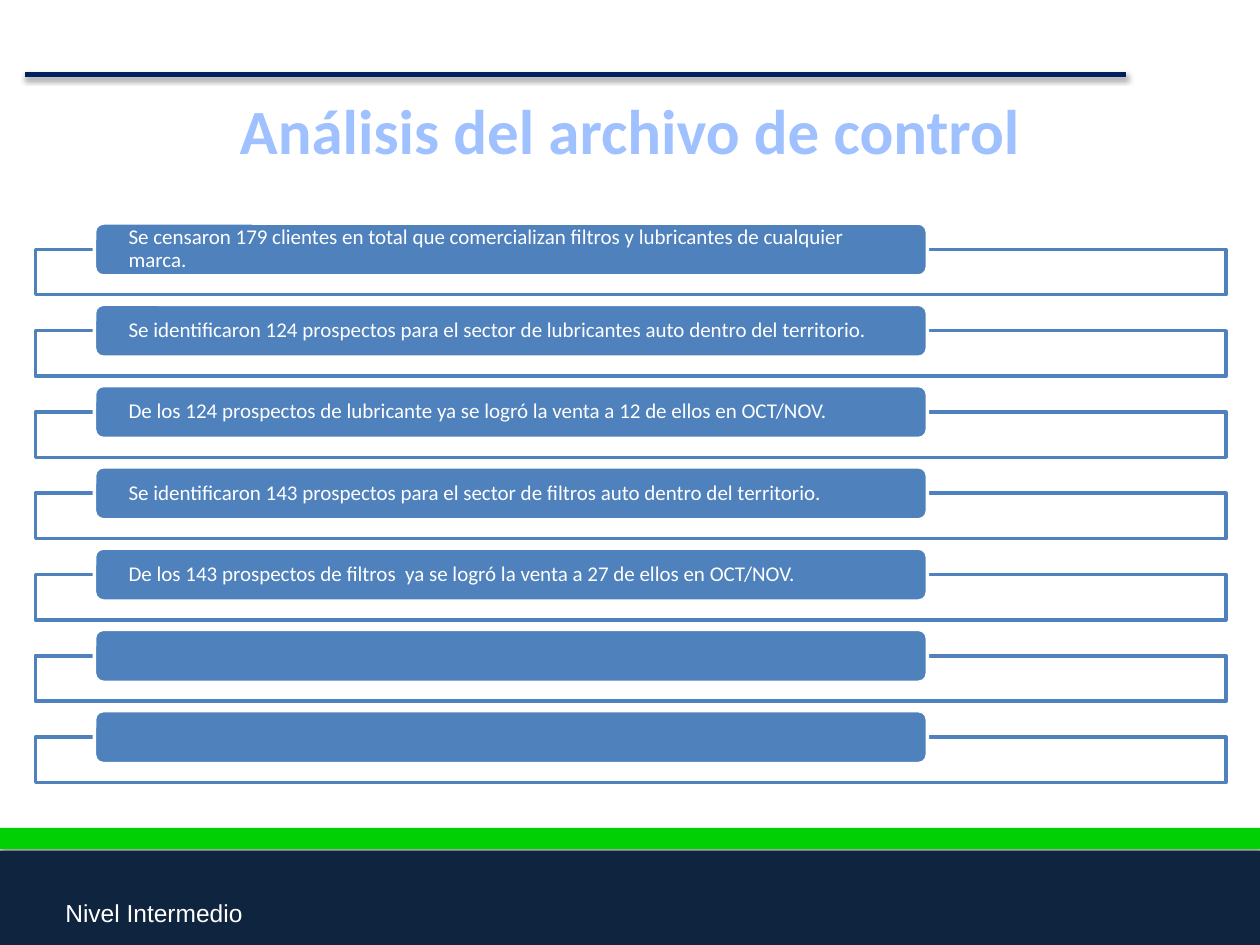
from dataclasses import dataclass

from pptx import Presentation
from pptx.dml.color import RGBColor
from pptx.enum.shapes import MSO_CONNECTOR, MSO_SHAPE
from pptx.enum.text import MSO_ANCHOR, PP_ALIGN
from pptx.oxml import parse_xml
from pptx.oxml.ns import nsdecls, qn
from pptx.oxml.xmlchemy import OxmlElement
from pptx.util import Inches, Pt

COLORS = {
    "white": "FFFFFF",
    "green": "01D004",
    "navy": "0F243E",
    "rule": "002060",
    "blue": "4F81BD",
    "title": "A0C1FF",
}

STATEMENTS = [
    "Se censaron 179 clientes en total que comercializan filtros y lubricantes de cualquier marca.",
    "Se identificaron 124 prospectos para el sector de lubricantes auto dentro del territorio.",
    "De los 124 prospectos de lubricante ya se logró la venta a 12 de ellos en OCT/NOV.",
    "Se identificaron 143 prospectos para el sector de filtros auto dentro del territorio.",
    "De los 143 prospectos de filtros  ya se logró la venta a 27 de ellos en OCT/NOV.",
    "",
    "",
]
FIRST_FRAME_TOP = 1.98
LAST_FRAME_TOP = 5.85
LABEL_RISE = 0.21


@dataclass
class Box:
    left: float
    top: float
    width: float
    height: float

    def lengths(self) -> list:
        return [Inches(value) for value in (self.left, self.top, self.width, self.height)]


@dataclass
class TextStyle:
    font: str
    size: float
    color: str
    bold: bool = False


def rgb(name: str) -> RGBColor:
    return RGBColor.from_string(COLORS[name])


def add_soft_shadow(shape) -> None:
    properties = shape._element.spPr
    effects = properties.find(qn("a:effectLst"))
    if effects is None:
        effects = OxmlElement("a:effectLst")
        properties.append(effects)
    effects.append(parse_xml(
        f'<a:outerShdw {nsdecls("a")} blurRad="{Pt(3.1)}" dist="{Pt(1.8)}" '
        'dir="5400000" rotWithShape="0"><a:srgbClr val="000000">'
        '<a:alpha val="35000"/></a:srgbClr></a:outerShdw>'
    ))


def add_box(slide, kind: MSO_SHAPE, box: Box, fill: str, outline: str | None = None):
    shape = slide.shapes.add_shape(kind, *box.lengths())
    shape.shadow.inherit = False
    shape.fill.solid()
    shape.fill.fore_color.rgb = rgb(fill)
    if outline:
        shape.line.color.rgb = rgb(outline)
        shape.line.width = Pt(2)
    else:
        shape.line.fill.background()
    return shape


def write(text_frame, text: str, style: TextStyle, alignment=PP_ALIGN.LEFT):
    text_frame.text = text
    paragraph = text_frame.paragraphs[0]
    paragraph.alignment = alignment
    for run in paragraph.runs:
        run.font.name = style.font
        run.font.size = Pt(style.size)
        run.font.bold = style.bold
        run.font.color.rgb = rgb(style.color)
    return paragraph


def add_text(slide, box: Box, text: str, style: TextStyle, alignment=PP_ALIGN.LEFT,
             wrap: bool = True) -> None:
    text_frame = slide.shapes.add_textbox(*box.lengths()).text_frame
    text_frame.word_wrap = wrap
    write(text_frame, text, style, alignment)


def add_header_rule(slide) -> None:
    rule = slide.shapes.add_connector(
        MSO_CONNECTOR.STRAIGHT, Inches(0.2), Inches(0.59), Inches(8.94), Inches(0.59))
    rule.line.color.rgb = rgb("rule")
    rule.line.width = Pt(3)
    add_soft_shadow(rule)


def add_statement(slide, frame_top: float, text: str) -> None:
    """Draw an outlined frame with a rounded label overlapping its top edge."""
    frame = add_box(slide, MSO_SHAPE.RECTANGLE, Box(0.28, frame_top, 9.45, 0.36), "white", "blue")
    frame_color = frame._element.spPr.find(qn("a:solidFill"))[0]
    alpha = OxmlElement("a:alpha")
    alpha.set("val", "90000")
    frame_color.append(alpha)

    label = add_box(slide, MSO_SHAPE.ROUNDED_RECTANGLE,
                    Box(0.75, frame_top - LABEL_RISE, 6.61, 0.42), "blue", "white")
    if not text:
        return
    text_frame = label.text_frame
    text_frame.word_wrap = True
    text_frame.vertical_anchor = MSO_ANCHOR.MIDDLE
    text_frame.margin_left = text_frame.margin_right = Inches(0.25)
    text_frame.margin_top = text_frame.margin_bottom = 0
    paragraph = write(text_frame, text, TextStyle("Calibri", 12, "white"))
    paragraph.line_spacing = 0.9


def main() -> None:
    presentation = Presentation()
    presentation.slide_width = Inches(10)
    presentation.slide_height = Inches(7.5)
    slide = presentation.slides.add_slide(presentation.slide_layouts[6])

    for box, color in ((Box(0, 6.57, 10, 0.17), "green"), (Box(0, 6.75, 10, 0.75), "navy")):
        add_soft_shadow(add_box(slide, MSO_SHAPE.RECTANGLE, box, color))
    add_text(slide, Box(0.42, 7.08, 9.58, 0.34), "Nivel Intermedio",
             TextStyle("Arial", 14, "white"))
    add_header_rule(slide)
    add_text(slide, Box(1.71, 0.68, 6.58, 0.71), "Análisis del archivo de control",
             TextStyle("Calibri", 36, "title", bold=True), PP_ALIGN.CENTER, wrap=False)

    pitch = (LAST_FRAME_TOP - FIRST_FRAME_TOP) / (len(STATEMENTS) - 1)
    for index, statement in enumerate(STATEMENTS):
        add_statement(slide, FIRST_FRAME_TOP + index * pitch, statement)

    presentation.save("out.pptx")


if __name__ == "__main__":
    main()
